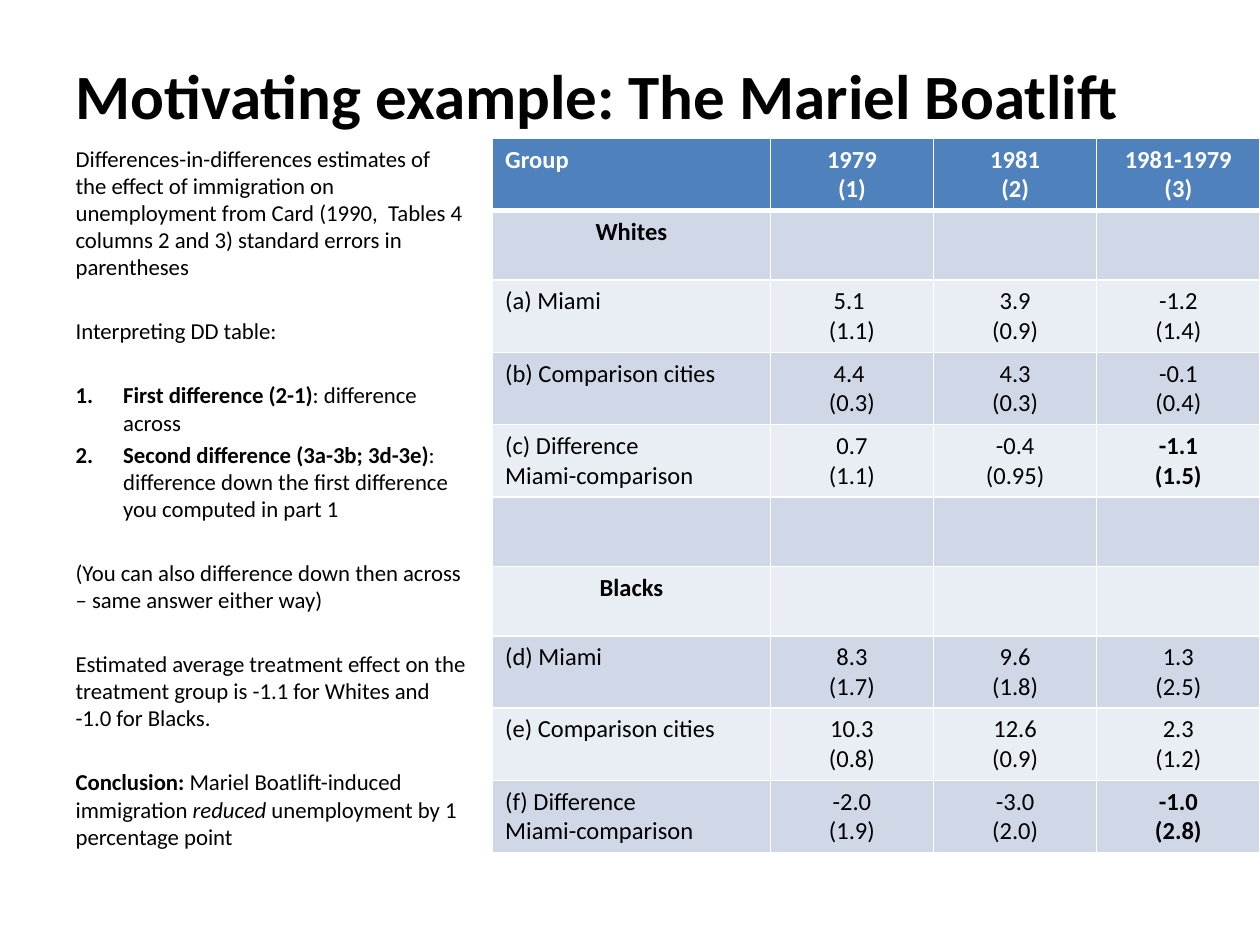
from dataclasses import dataclass
from lxml import etree
from pptx import Presentation
from pptx import util as u
from pptx.dml import color
from pptx.enum import text
from pptx.oxml import ns


@dataclass
class Theme:
    face: str = "Calibri"
    ink: str = "000000"
    white: str = "FFFFFF"
    head: str = "4F81BD"
    dark: str = "D0D8E8"
    light: str = "E9EDF4"
    title: float = 36
    body: float = 13
    cell: float = 14


theme = Theme()


def style(run, size, tint, bold=False, slant=False):
    font = run.font
    font.name, font.size = theme.face, u.Pt(size)
    font.bold, font.italic = bold, slant
    font.color.rgb = color.RGBColor.from_string(tint)


def edge(cell, side, width):
    props = cell._tc.get_or_add_tcPr()
    line = etree.SubElement(props, ns.qn(f"a:ln{side}"), w=str(u.Pt(width)))
    fill = etree.SubElement(line, ns.qn("a:solidFill"))
    etree.SubElement(fill, ns.qn("a:srgbClr"), val=theme.white)


deck = Presentation()
deck.slide_width, deck.slide_height = u.Cm(25.4), u.Cm(19.05)
slide = deck.slides.add_slide(deck.slide_layouts[1])

title = slide.shapes.title
title.left, title.top = u.Cm(1.27), u.Cm(0.76)
title.width, title.height = u.Cm(24.13), u.Cm(2.03)
frame = title.text_frame
frame.text = "Motivating example: The Mariel Boatlift"
frame.auto_size = text.MSO_AUTO_SIZE.NONE
frame.vertical_anchor = text.MSO_ANCHOR.BOTTOM
frame.paragraphs[0].alignment = text.PP_ALIGN.LEFT
style(frame.paragraphs[0].runs[0], theme.title, theme.ink, True)

rows = [
    ["Group", "1979\n(1)", "1981\n(2)", "1981-1979\n(3)"],
    ["Whites", "", "", ""],
    ["(a) Miami", "5.1 \n(1.1)", "3.9\n(0.9)", "-1.2\n(1.4)"],
    ["(b) Comparison cities", "4.4 \n(0.3)", "4.3\n(0.3)", "-0.1\n(0.4)"],
    ["(c) Difference \nMiami-comparison", "0.7\n(1.1)", "-0.4\n(0.95)", "-1.1\n(1.5)"],
    ["", "", "", ""],
    ["Blacks", "", "", ""],
    ["(d) Miami", "8.3\n(1.7)", "9.6\n(1.8)", "1.3\n(2.5)"],
    ["(e) Comparison cities", "10.3\n(0.8)", "12.6\n(0.9)", "2.3\n(1.2)"],
    ["(f) Difference\nMiami-comparison", "-2.0\n(1.9)", "-3.0\n(2.0)", "-1.0\n(2.8)"],
]
widths = [5.6, 3.29, 3.29, 3.29]
high = 1.4
table = slide.shapes.add_table(
    len(rows), len(widths), u.Cm(9.93), u.Cm(2.79),
    u.Cm(sum(widths)), u.Cm(high * len(rows))).table
for col, width in zip(table.columns, widths):
    col.width = u.Cm(width)

for r, row in enumerate(rows):
    group = row[0] in ("Whites", "Blacks")
    fill = theme.head if r == 0 else theme.dark if r % 2 else theme.light
    tint = theme.white if r == 0 else theme.ink
    for c, words in enumerate(row):
        cell = table.cell(r, c)
        for side in "LRTB":
            thick = (r, side) in ((0, "B"), (1, "T"))
            edge(cell, side, 3 if thick else 1)
        cell.fill.solid()
        cell.fill.fore_color.rgb = color.RGBColor.from_string(fill)
        if not words:
            continue
        para = cell.text_frame.paragraphs[0]
        para.text = words
        if c or group:
            para.alignment = text.PP_ALIGN.CENTER
        total = c == 3 and "Difference" in row[0]
        for run in para.runs:
            style(run, theme.cell, tint, r == 0 or group or total)
        for gap in para._p.findall(ns.qn("a:br")):
            etree.SubElement(gap, ns.qn("a:rPr"), sz=str(theme.cell * 100))

notes = [
    (0, False, [("Differences-in-differences estimates of the effect of immigration on "
                 "unemployment from Card (1990,  Tables 4 columns 2 and 3) standard "
                 "errors in parentheses", "")]),
    (21.1, False, [("Interpreting DD table:", "")]),
    (21.1, True, [("First difference (2-1)", "b"), (": difference across", "")]),
    (2.8, True, [("Second difference (3a-3b; 3d-3e)", "b"),
                 (": difference down the first difference you computed in part 1", "")]),
    (21.1, False, [("(You can also difference down then across – same answer either way)", "")]),
    (21.1, False, [("Estimated average treatment effect on the treatment group is "
                    "-1.1 for Whites and -1.0 for Blacks.", "")]),
    (21.1, False, [("Conclusion: ", "b"), ("Mariel Boatlift-induced immigration ", ""),
                   ("reduced ", "i"), ("unemployment by 1 percentage point", "")]),
]
body = slide.placeholders[1]
body.left, body.top = u.Cm(1.27), u.Cm(2.79)
body.width, body.height = u.Cm(8.36), u.Cm(14.22)
frame = body.text_frame
frame.auto_size = text.MSO_AUTO_SIZE.NONE
for n, (space, listed, parts) in enumerate(notes):
    para = frame.add_paragraph() if n else frame.paragraphs[0]
    props = para._p.get_or_add_pPr()
    hang = u.Cm(0.96) if listed else 0
    props.set("marL", str(hang))
    props.set("indent", str(-hang))
    if listed:
        etree.SubElement(props, ns.qn("a:buFont"), typeface="+mj-lt")
        etree.SubElement(props, ns.qn("a:buAutoNum"), type="arabicPeriod")
    else:
        etree.SubElement(props, ns.qn("a:buNone"))
    para.space_before = u.Pt(space)
    para.line_spacing = u.Pt(15.5)
    for words, mark in parts:
        run = para.add_run()
        run.text = words
        style(run, theme.body, theme.ink, mark == "b", mark == "i")

deck.save("out.pptx")
